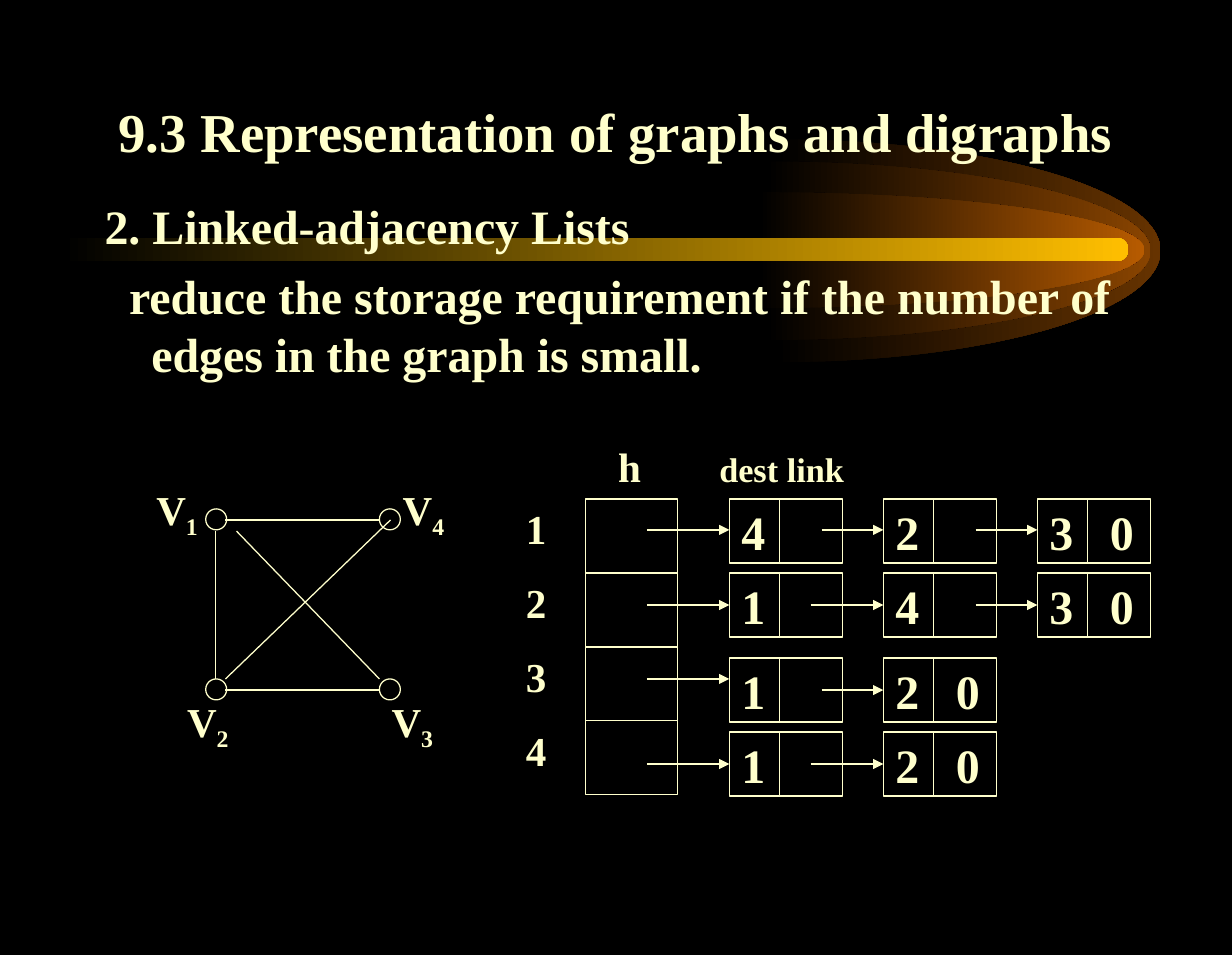
"""Build the slide on linked-adjacency lists."""
from dataclasses import dataclass

from pptx import Presentation
from pptx.dml.color import RGBColor
from pptx.enum.shapes import MSO_CONNECTOR as Connector, MSO_SHAPE as Shape
from pptx.enum.text import MSO_ANCHOR as Anchor, PP_ALIGN as Align
from pptx.oxml.ns import qn
from pptx.oxml.xmlchemy import OxmlElement
from pptx.util import Inches, Pt


@dataclass(frozen=True)
class Theme:
    """Colours and type sizes of the slide."""
    font: str = "Times New Roman"
    background: str = "000000"
    ink: str = "FFFFCC"
    beam: str = "FFBF00"
    flares: tuple = ("663300", "894400", "B75B00")
    title: int = 32
    body: int = 28
    label: int = 24
    small: int = 20
    line: float = 0.75


class SlideBuilder:
    """Hold the theme and the current slide and draw its elements."""

    def __init__(self, slide, theme):
        """Start with a plain background."""
        self.slide, self.theme = slide, theme
        slide.background.fill.solid()
        slide.background.fill.fore_color.rgb = RGBColor.from_string(theme.background)

    def style(self, paragraph, size):
        """Give a paragraph the bold slide font."""
        font = paragraph.font
        font.name, font.size, font.bold = self.theme.font, Pt(size), True
        font.color.rgb = RGBColor.from_string(self.theme.ink)

    def glow(self, shape, colour):
        """Fill a shape from the background to a colour, left to right."""
        shape.shadow.inherit = False
        shape.line.fill.background()
        shape.fill.gradient()
        shape.fill.gradient_angle = 0
        for stop, value in zip(shape.fill.gradient_stops, (self.theme.background, colour)):
            stop.color.rgb = RGBColor.from_string(value)

    def flare(self, left, top, width, height, colour):
        """Draw the right half of an ellipse with a glow."""
        bend = 0.55
        corners = [(Inches(left + width * x), Inches(top + height * y))
                   for x, y in ((0, 0), (1, 0.5), (0, 1))]
        builder = self.slide.shapes.build_freeform(*corners[0])
        builder.add_line_segments(corners[1:], close=True)
        shape = builder.convert_to_shape()
        curves = (((bend, 0), (1, (1 - bend) / 2), (1, 0.5)),
                  ((1, (1 + bend) / 2), (bend, 1), (0, 1)))
        for segment, points in zip(list(shape.element.iter(qn("a:lnTo"))), curves):
            curve = OxmlElement("a:cubicBezTo")
            for x, y in points:
                point = OxmlElement("a:pt")
                point.set("x", str(Inches(width * x)))
                point.set("y", str(Inches(height * y)))
                curve.append(point)
            segment.getparent().replace(segment, curve)
        self.glow(shape, colour)

    def beam(self, left, top, width, height):
        """Draw the round-ended glowing bar."""
        shape = self.slide.shapes.add_shape(
            Shape.ROUNDED_RECTANGLE, Inches(left), Inches(top), Inches(width), Inches(height))
        shape.adjustments[0] = 0.5
        self.glow(shape, self.theme.beam)

    def title(self, text, left, top, width, height):
        """Fill the title placeholder and bring it to the front."""
        title = self.slide.shapes.title
        title.left, title.top = Inches(left), Inches(top)
        title.width, title.height = Inches(width), Inches(height)
        frame = title.text_frame
        frame.text, frame.vertical_anchor = text, Anchor.BOTTOM
        frame.paragraphs[0].alignment = Align.CENTER
        self.style(frame.paragraphs[0], self.theme.title)
        title.element.getparent().append(title.element)

    def text(self, lines, left, top, width, height, size, gap=0):
        """Add a text box with one paragraph a line and return its paragraphs."""
        box = self.slide.shapes.add_textbox(
            Inches(left), Inches(top), Inches(width), Inches(height))
        frame = box.text_frame
        frame.word_wrap = True
        frame.text = "\n".join(lines)
        for index, paragraph in enumerate(frame.paragraphs):
            if index:
                paragraph.space_before = Pt(gap)
            self.style(paragraph, size)
        return frame.paragraphs

    def vertex_label(self, number, left, top):
        """Add the letter V with a subscript number."""
        paragraph, = self.text(["V"], left, top, 0.58, 0.56, self.theme.label)
        subscript = paragraph.add_run()
        subscript.text = number
        subscript._r.get_or_add_rPr().set("baseline", "-25000")

    def outline(self, kind, left, top, width, height):
        """Add an unfilled shape with a thin line."""
        shape = self.slide.shapes.add_shape(
            kind, Inches(left), Inches(top), Inches(width), Inches(height))
        shape.shadow.inherit = False
        shape.fill.background()
        self.stroke(shape.line)
        return shape

    def stroke(self, line):
        """Set the colour and width of a line."""
        line.color.rgb = RGBColor.from_string(self.theme.ink)
        line.width = Pt(self.theme.line)

    def line(self, start, end, arrow=False):
        """Join two points, with an arrowhead at the end if asked."""
        connector = self.slide.shapes.add_connector(
            Connector.STRAIGHT, *(Inches(value) for value in (*start, *end)))
        self.stroke(connector.line)
        if arrow:
            head = OxmlElement("a:tailEnd")
            head.set("type", "triangle")
            connector.get_or_add_ln().append(head)
        connector.element.find(qn("p:spPr")).append(OxmlElement("a:effectLst"))

    def node(self, text, left, top):
        """Draw a list node with a destination and a link field."""
        width, height, divider = 0.92, 0.52, 0.41
        shape = self.outline(Shape.RECTANGLE, left, top, width, height)
        frame = shape.text_frame
        frame.word_wrap = True
        frame.text, frame.vertical_anchor = text, Anchor.MIDDLE
        paragraph = frame.paragraphs[0]
        paragraph.alignment = Align.LEFT
        if "\t" in text:
            stops, stop = OxmlElement("a:tabLst"), OxmlElement("a:tab")
            stop.set("pos", str(Inches(0.49)))
            stop.set("algn", "l")
            stops.append(stop)
            paragraph._p.get_or_add_pPr().append(stops)
        self.style(paragraph, self.theme.body)
        self.line((left + divider, top), (left + divider, top + height))


def draw_graph(builder):
    """Draw the four vertices, their edges and their labels."""
    size = 0.17
    for left in (1.67, 3.08):
        for top in (4.13, 5.51):
            builder.outline(Shape.OVAL, left, top, size, size)
    for start, end in (((1.83, 4.22), (3.08, 4.22)), ((1.75, 4.31), (1.75, 5.51)),
                       ((1.83, 5.6), (3.08, 5.6)), ((3.17, 4.22), (1.83, 5.51)),
                       ((1.92, 4.31), (3.08, 5.51))):
        builder.line(start, end)
    for number, left, top in (("1", 1.17, 3.88), ("2", 1.42, 5.6),
                              ("3", 3.08, 5.6), ("4", 3.17, 3.88)):
        builder.vertex_label(number, left, top)


def draw_lists(builder):
    """Draw the header array and the linked list of each vertex."""
    theme = builder.theme
    first, pitch, header = 5.92, 1.25, 0.6
    rows = ((4.05, 4.3, 4.3, 6.67, "423"), (4.65, 4.91, 4.91, 6.58, "143"),
            (5.34, 5.51, 5.6, 6.67, "12"), (5.94, 6.2, 6.2, 6.58, "12"))
    for index, (top, header_y, link_y, link_x, values) in enumerate(rows):
        builder.outline(Shape.RECTANGLE, 4.75, 4.05 + header * index, 0.75, header)
        builder.line((5.25, header_y), (first, header_y), arrow=True)
        for column, value in enumerate(values):
            left = first + pitch * column
            is_last = column == len(values) - 1
            builder.node(value + "\t0" if is_last else value, left, top)
            if not is_last:
                start = link_x if column == 0 else 7.92
                builder.line((start, link_y), (left + pitch, link_y), arrow=True)
    builder.text("1234", 4.17, 4.04, 0.5, 2.33, theme.label, gap=14.4)
    builder.text(["h"], 4.92, 3.53, 0.5, 0.5, theme.label)
    builder.text(["dest link"], 5.74, 3.59, 1.5, 0.45, theme.small)


def main():
    """Build and save the presentation."""
    presentation = Presentation()
    presentation.slide_width, presentation.slide_height = Inches(10), Inches(7.75)
    theme = Theme()
    builder = SlideBuilder(presentation.slides.add_slide(presentation.slide_layouts[5]), theme)
    bounds = ((6.29, 1.13, 3.13, 1.81), (6.21, 1.31, 3.13, 1.45), (6.16, 1.56, 3.13, 0.94))
    for place, colour in zip(bounds, theme.flares):
        builder.flare(*place, colour)
    builder.beam(0.5, 1.93, 8.66, 0.19)
    builder.title("9.3 Representation of graphs and digraphs", 0.75, 0.61, 8.5, 0.77)
    body = builder.text(
        ["2. Linked-adjacency Lists",
         "reduce the storage requirement if the number of edges in the graph is small."],
        0.75, 1.55, 8.92, 5.77, theme.body, gap=7)
    for paragraph, hanging in zip(body, (0.38, 0.18)):
        properties = paragraph._p.get_or_add_pPr()
        properties.set("marL", str(Inches(0.38)))
        properties.set("indent", str(Inches(-hanging)))
    draw_graph(builder)
    draw_lists(builder)
    presentation.save("out.pptx")


if __name__ == "__main__":
    main()
